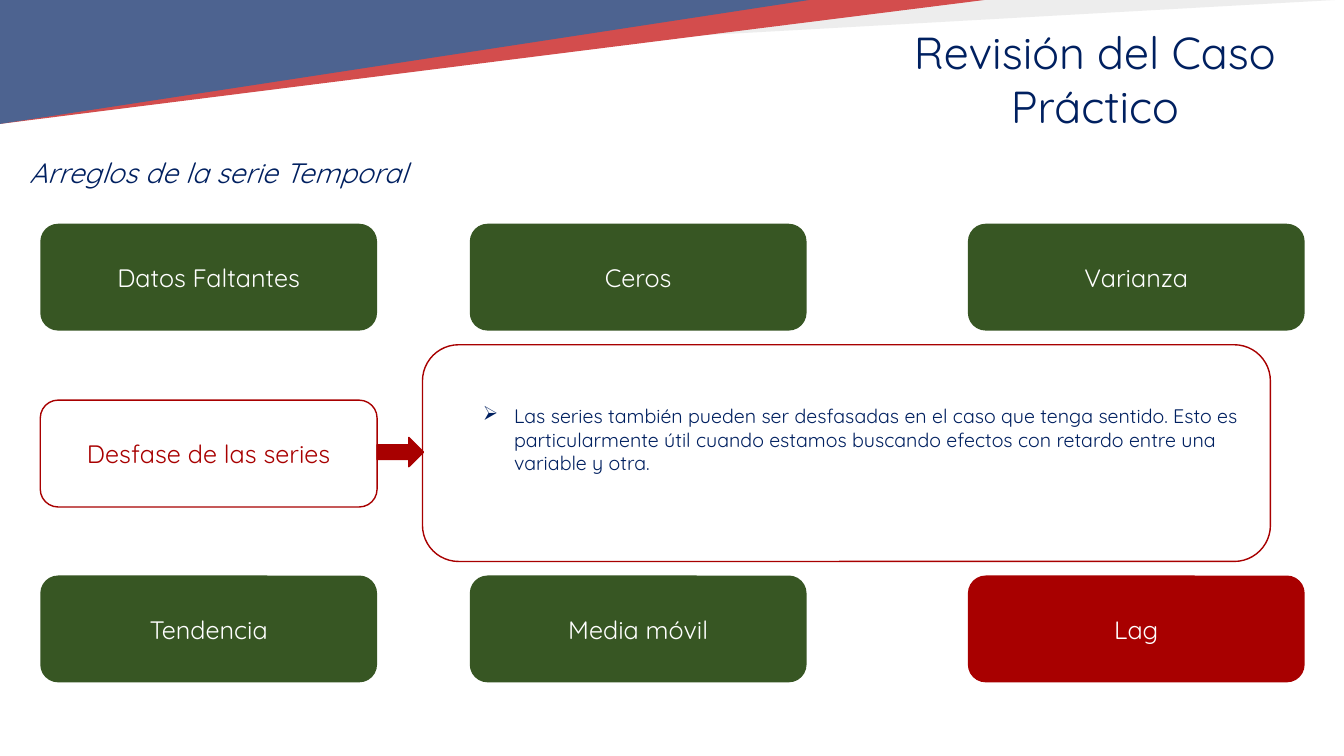
"""Build the slide on fixes for a time series."""
from dataclasses import dataclass

from lxml import etree
from pptx import Presentation
from pptx.dml.color import RGBColor
from pptx.enum.shapes import MSO_SHAPE
from pptx.enum.text import MSO_ANCHOR, PP_ALIGN
from pptx.oxml.ns import qn
from pptx.util import Inches, Pt

ROUND = MSO_SHAPE.ROUNDED_RECTANGLE
ARROW = MSO_SHAPE.RIGHT_ARROW
WEDGE = MSO_SHAPE.ISOSCELES_TRIANGLE
RECT = MSO_SHAPE.RECTANGLE
CENTER, LEFT = PP_ALIGN.CENTER, PP_ALIGN.LEFT
MIDDLE = MSO_ANCHOR.MIDDLE
NAVY, GREEN, RED, WHITE = "002060", "375623", "A80000", "FFFFFF"
FONT = "Quicksand"
CARD_W, CARD_H = 3.34, 1.06
COLS = (0.4, 4.66, 9.6)
TOP, MID, LOW = 2.22, 3.97, 5.71


@dataclass(frozen=True)
class Box:
    """Place of an item in inches."""
    left: float
    top: float
    width: float
    height: float

    def spans(self) -> list:
        """Return the four lengths."""
        return [Inches(v) for v in (self.left, self.top, self.width, self.height)]


@dataclass(frozen=True)
class Card:
    """Rounded label with its colours."""
    text: str
    left: float
    top: float
    fill: str = GREEN
    ink: str = WHITE
    line: str = ""


@dataclass(frozen=True)
class Note:
    """Free text with its format."""
    text: str
    box: Box
    style: dict
    align: PP_ALIGN = CENTER
    bullet: str = ""


BANDS = (
    (Box(0, 0, 13.25, 0.74), "E6E6E6"),
    (Box(0, 0, 9.77, 1.23), "C00000"),
    (Box(0, 0, 8.03, 1.23), NAVY),
)
CARDS = (
    Card("Datos Faltantes", COLS[0], TOP),
    Card("Ceros", COLS[1], TOP),
    Card("Varianza", COLS[2], TOP),
    Card("Lag", COLS[2], LOW, RED),
    Card("Media móvil", COLS[1], LOW),
    Card("Tendencia", COLS[0], LOW),
    Card("Desfase de las series", COLS[0], MID, WHITE, RED, RED),
)
NOTES = (
    Note("Revisión del Caso Práctico", Box(8.39, 0.2, 4.94, 1.18), {"size": Pt(32)}),
    Note("Arreglos de la serie Temporal", Box(0, 1.49, 4.33, 0.44),
         {"size": Pt(20), "italic": True}),
    Note("Las series también pueden ser desfasadas en el caso que tenga sentido. "
         "Esto es particularmente útil cuando estamos buscando efectos con retardo "
         "entre una variable y otra.",
         Box(4.19, 3.96, 8.3, 1.04), {"size": Pt(14)}, LEFT, "➢"),
)


def tint(color, code: str) -> None:
    """Set a colour from its hex string."""
    color.rgb = RGBColor.from_string(code)


def draw(slide, kind, box: Box, fill: str, line: str = ""):
    """Add a flat preset shape."""
    shape = slide.shapes.add_shape(kind, *box.spans())
    shape.shadow.inherit = False
    shape.fill.solid()
    tint(shape.fill.fore_color, fill)
    if line:
        tint(shape.line.color, line)
        shape.line.width = Pt(1)
    else:
        shape.line.fill.background()
    return shape


def write(frame, text: str, ink: str, style: dict, align: PP_ALIGN):
    """Fill a text frame with one styled paragraph."""
    frame.word_wrap = True
    para = frame.paragraphs[0]
    para.alignment = align
    run = para.add_run()
    run.text = text
    for key, value in {"name": FONT, **style}.items():
        setattr(run.font, key, value)
    tint(run.font.color, ink)
    return para


def mark(para, sign: str) -> None:
    """Give a paragraph a hanging bullet."""
    para.level = 1
    props = para._p.get_or_add_pPr()
    props.set("marL", str(Inches(0.81)))
    props.set("indent", str(Inches(-0.31)))
    etree.SubElement(props, qn("a:buChar")).set("char", sign)


def draw_bands(slide) -> None:
    """Draw the top wedges and the pale veil over them."""
    for box, fill in BANDS:
        wedge = draw(slide, WEDGE, box, fill)
        wedge.adjustments[0] = 0
        wedge._element.spPr.find(qn("a:xfrm")).set("flipV", "1")
    veil = draw(slide, RECT, Box(0, 0, 13.33, 1.45), WHITE)
    color = veil._element.spPr.find(qn("a:solidFill"))[0]
    etree.SubElement(color, qn("a:alpha")).set("val", "30000")


def draw_card(slide, card: Card) -> None:
    """Draw one rounded label."""
    box = Box(card.left, card.top, CARD_W, CARD_H)
    shape = draw(slide, ROUND, box, card.fill, card.line)
    shape.text_frame.vertical_anchor = MIDDLE
    write(shape.text_frame, card.text, card.ink, {"size": Pt(18)}, CENTER)


def draw_note(slide, note: Note) -> None:
    """Draw one text box."""
    frame = slide.shapes.add_textbox(*note.box.spans()).text_frame
    para = write(frame, note.text, NAVY, note.style, note.align)
    if note.bullet:
        mark(para, note.bullet)


def main() -> None:
    """Build and save the deck."""
    deck = Presentation()
    deck.slide_width, deck.slide_height = Inches(13.33), Inches(7.5)
    slide = deck.slides.add_slide(deck.slide_layouts[6])
    draw_bands(slide)
    for card in CARDS:
        draw_card(slide, card)
    draw(slide, ROUND, Box(4.19, 3.42, 8.41, 2.15), WHITE, RED)
    draw(slide, ARROW, Box(3.74, 4.34, 0.46, 0.29), RED, RED)
    for note in NOTES:
        draw_note(slide, note)
    deck.save("out.pptx")


main()
